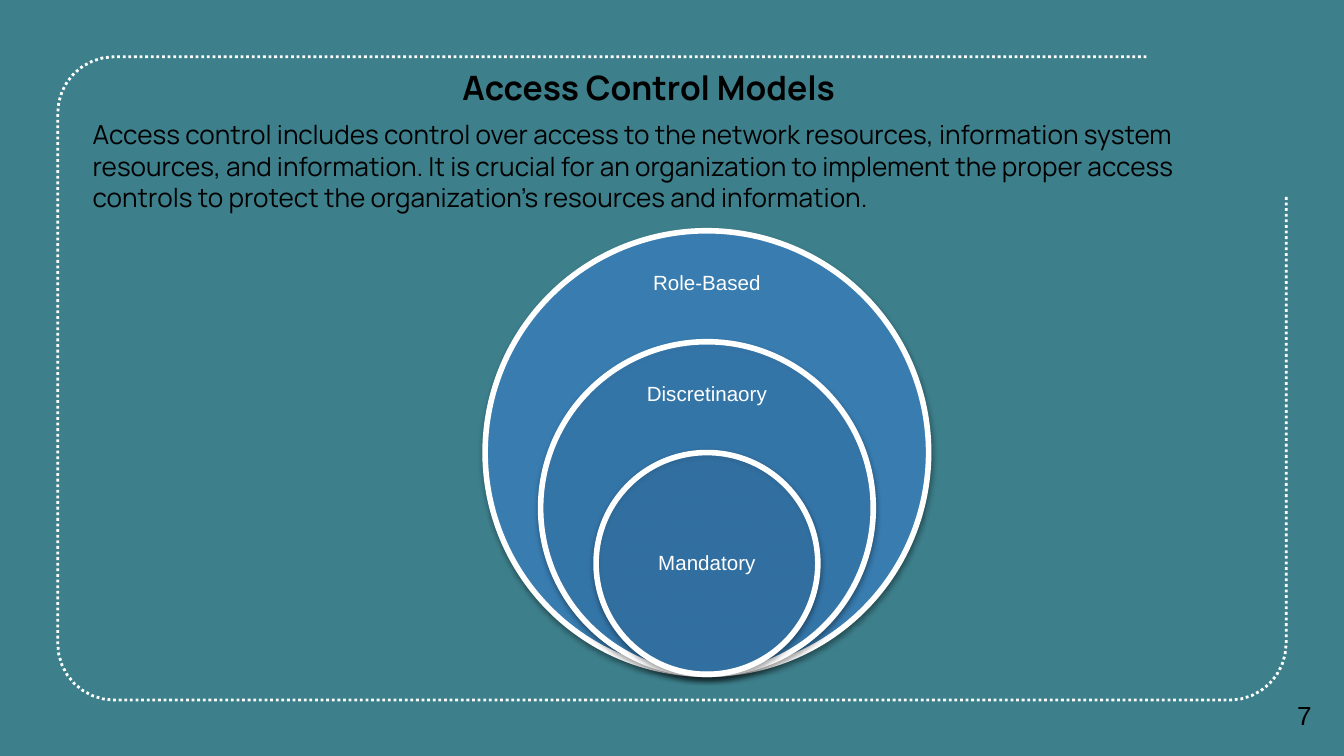
import math

import pptx
import pptx.dml.color
import pptx.enum.dml
import pptx.enum.shapes
import pptx.enum.text
import pptx.oxml
import pptx.oxml.ns
import pptx.util

SLIDE_W = pptx.util.Inches(10)
SLIDE_H = pptx.util.Inches(5.625)
COLORS = {"teal": "3D808C", "blue": "3A81BA", "white": "FFFFFF", "black": "000000"}
CENTER = pptx.enum.text.PP_ALIGN.CENTER
LEFT = pptx.enum.text.PP_ALIGN.LEFT
TOP = pptx.enum.text.MSO_ANCHOR.TOP
MIDDLE = pptx.enum.text.MSO_ANCHOR.MIDDLE

BODY = ("Access control includes control over access to the network resources, "
        "information system resources, and information. It is crucial for an "
        "organization to implement the proper access controls to protect the "
        "organization's resources and information.")
# Name, diameter as a share of the largest, fill opacity, label height in the circle
MODELS = [("Role-Based", 1, 90, 0.12),
          ("Discretinaory", 0.75, 70, 0.16),
          ("Mandatory", 0.5, 50, 0.5)]


def px(percent):
    return round(SLIDE_W * percent / 100)


def py(percent):
    return round(SLIDE_H * percent / 100)


def rgb(name):
    return pptx.dml.color.RGBColor.from_string(COLORS[name])


def place(sp, x, y, w, h):
    sp.left, sp.top, sp.width, sp.height = x, y, w, h


def write(sp, text, size, font, color="black", bold=False, align=LEFT, anchor=TOP,
          spacing=1.0):
    tf = sp.text_frame
    tf.text = text
    tf.word_wrap = True
    tf.auto_size = pptx.enum.text.MSO_AUTO_SIZE.NONE
    tf.vertical_anchor = anchor
    p = tf.paragraphs[0]
    p.alignment = align
    p.line_spacing = spacing
    r = p.runs[0]
    r.font.size = pptx.util.Pt(size)
    r.font.name = font
    r.font.bold = bold
    r.font.color.rgb = rgb(color)


def add_text(slide, text, x, y, w, h, *style, **options):
    sp = slide.shapes.add_textbox(x, y, w, h)
    write(sp, text, *style, **options)


def set_line(sp, width):
    sp.line.color.rgb = rgb("white")
    sp.line.width = pptx.util.Pt(width)


def add_frame(slide):
    left, right, top, bottom = px(4.3), px(95.7), py(7.5), py(92.6)
    radius = px(4.2)
    # Corner centres with the angle at which each turn starts
    corners = [(left + radius, top + radius, 270),
               (left + radius, bottom - radius, 180),
               (right - radius, bottom - radius, 90)]
    points = []
    for cx, cy, start in corners:
        for step in range(9):
            angle = math.radians(start - step * 90 / 8)
            points.append((round(cx + radius * math.cos(angle)),
                           round(cy + radius * math.sin(angle))))
    points.append((right, py(26)))
    builder = slide.shapes.build_freeform(px(85.3), top)
    builder.add_line_segments(points, close=False)
    sp = builder.convert_to_shape()
    sp.shadow.inherit = False
    sp.fill.background()
    set_line(sp, 1.5)
    sp.line.dash_style = pptx.enum.dml.MSO_LINE.ROUND_DOT


def add_circle(slide, x, y, size, opacity):
    sp = slide.shapes.add_shape(pptx.enum.shapes.MSO_SHAPE.OVAL, x, y, size, size)
    sp.fill.solid()
    sp.fill.fore_color.rgb = rgb("blue")
    set_line(sp, 3)
    # Transparency of the fill
    color = sp.fill._xPr.find(".//" + pptx.oxml.ns.qn("a:srgbClr"))
    alpha = pptx.oxml.parse_xml(
        f'<a:alpha {pptx.oxml.ns.nsdecls("a")} val="{opacity * 1000}"/>')
    color.append(alpha)
    # Soft shadow straight below
    sp.shadow.inherit = False
    effects = sp.element.spPr.find(pptx.oxml.ns.qn("a:effectLst"))
    effects.append(pptx.oxml.parse_xml(
        f'<a:outerShdw {pptx.oxml.ns.nsdecls("a")} blurRad="{pptx.util.Pt(3.1)}" '
        f'dist="{pptx.util.Pt(1.6)}" dir="5400000" rotWithShape="0">'
        f'<a:srgbClr val="{COLORS["black"]}"><a:alpha val="38000"/></a:srgbClr>'
        '</a:outerShdw>'))


def add_models(slide):
    center, bottom, largest = px(52.6), py(89.2), px(33)
    label_w, label_h = px(11.7), py(8.5)
    for name, share, opacity, label_at in MODELS:
        size = round(largest * share)
        top = bottom - size
        add_circle(slide, center - size // 2, top, size, opacity)
        label_y = top + round(size * label_at) - label_h // 2
        add_text(slide, name, center - label_w // 2, label_y, label_w, label_h,
                 11, "Arial", "white", align=CENTER, anchor=MIDDLE, spacing=0.9)


def main():
    prs = pptx.Presentation()
    prs.slide_width, prs.slide_height = SLIDE_W, SLIDE_H
    slide = prs.slides.add_slide(prs.slide_layouts[5])
    slide.background.fill.solid()
    slide.background.fill.fore_color.rgb = rgb("teal")

    # Dotted frame and page number
    add_frame(slide)
    add_text(slide, "7", px(94.1), py(89.3), px(5.9), py(10.7), 14, "Arial",
             align=CENTER, anchor=MIDDLE)

    # Title and introduction
    title = slide.shapes.title
    place(title, px(33.4), py(8), px(33.2), py(7.1))
    write(title, "Access Control Models", 18, "Manrope", bold=True)
    add_text(slide, BODY, px(5.9), py(14.8), px(87.8), py(14.4), 14, "Manrope")

    # Nested circles
    add_models(slide)
    prs.save("out.pptx")


main()
